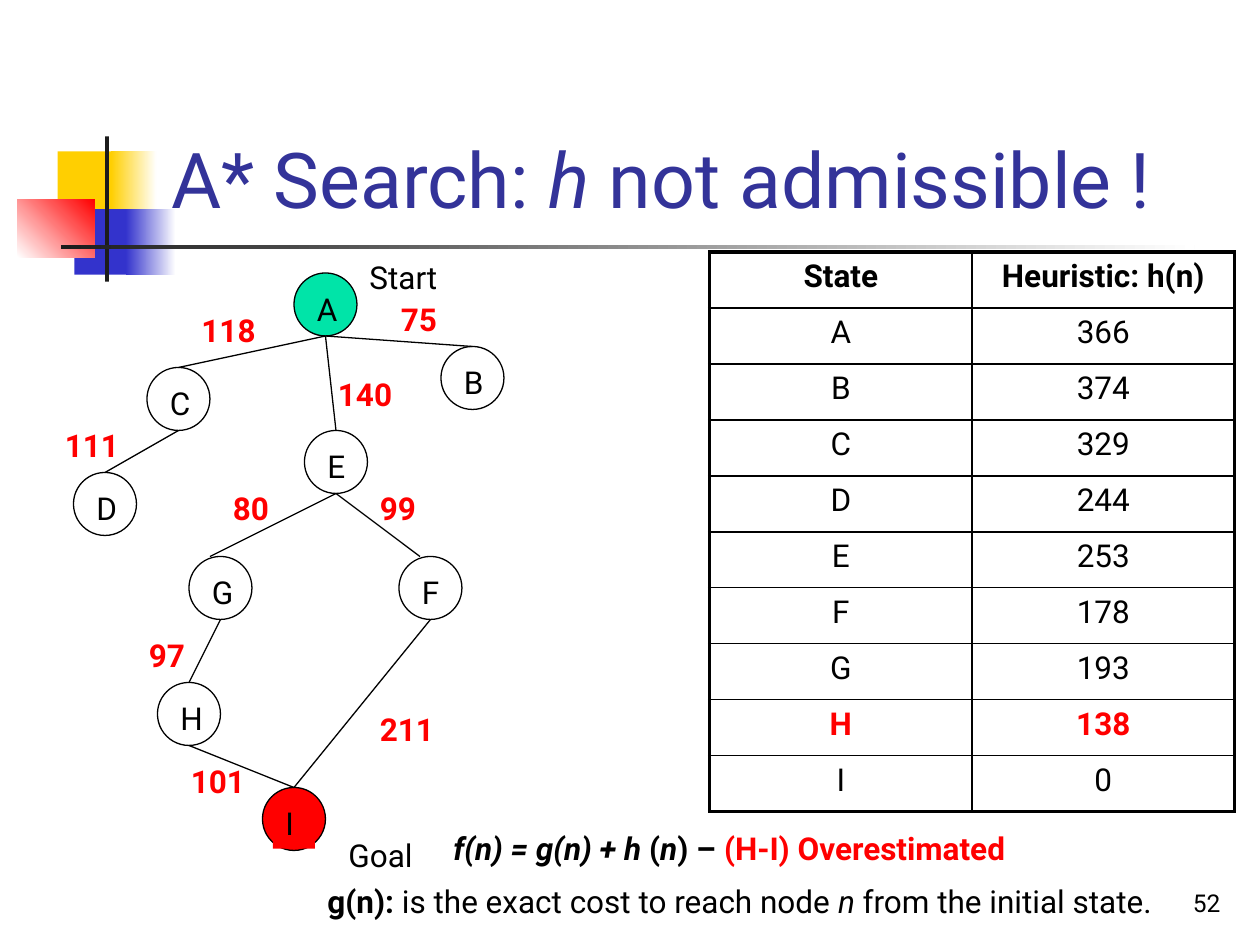
from lxml.etree import SubElement
from pptx import Presentation
from pptx.dml.color import RGBColor
from pptx.enum.shapes import MSO_CONNECTOR, MSO_SHAPE
from pptx.enum.text import MSO_ANCHOR, MSO_AUTO_SIZE, PP_ALIGN
from pptx.oxml.ns import qn
from pptx.util import Pt

FONT = "Roboto"
HUES = {
    "black": "000000", "white": "FFFFFF", "red": "FF0000", "green": "00E4A8",
    "gold": "FFCF01", "blue": "3333CC", "ink": "1C1C1C", "title": "333399",
}
SIZE = 36  # node diameter
NODES = {
    "A": (168, 156, "green"), "B": (252, 198, None), "C": (84, 210, None),
    "D": (42, 270, None), "E": (174, 246, None), "F": (228, 318, None),
    "G": (108, 318, None), "H": (90, 390, None), "I": (150, 450, "red"),
}
# parent, child, shift of the end from the child's top, cost, cost left, cost top
EDGES = [
    ("A", "C", 0, "118", 108, 174), ("A", "E", 0, "140", 186, 211),
    ("A", "B", 0, "75", 222, 168), ("C", "D", 0, "111", 30, 240),
    ("E", "G", -6, "80", 126, 276), ("E", "F", -6, "99", 210, 276),
    ("G", "H", 0, "97", 78, 360), ("F", "I", 0, "211", 210, 402),
    ("H", "I", 0, "101", 102, 432),
]
# left, top, width, height, colours, angle
DECOR = [
    (33, 86.5, 34.5, 37.5, ["gold"], 0),
    (63.5, 86.5, 26, 37.5, ["gold", "white"], 0),
    (42.5, 119.5, 33, 37.5, ["blue"], 0),
    (72, 119.5, 28.5, 37.5, ["blue", "white"], 0),
    (10, 113.75, 44, 33.25, ["white", "red"], 45),
    (60, 78, 2.25, 83, ["ink"], 0),
    (34.75, 140.25, 648, 2.25, ["ink", "white"], 0),
]
ROWS = [
    ("State", "Heuristic: h(n)"), ("A", "366"), ("B", "374"), ("C", "329"),
    ("D", "244"), ("E", "253"), ("F", "178"), ("G", "193"), ("H", "138"),
    ("I", "0"),
]


def color(name):
    return RGBColor.from_string(HUES[name])


def style(run, size=18, hue="black", bold=False, slant=False):
    font = run.font
    font.name, font.size = FONT, Pt(size)
    font.bold, font.italic = bold, slant
    font.color.rgb = color(hue)


def write(para, parts):
    """Add runs from (text, style options) pairs."""
    for text, opts in parts:
        run = para.add_run()
        run.text = text
        style(run, **opts)


def add_text(shapes, box, text="", **opts):
    label = shapes.add_textbox(*map(Pt, box))
    label.text_frame.word_wrap = True
    if text:
        label.text_frame.text = text
        style(label.text_frame.paragraphs[0].runs[0], **opts)
    return label


def add_shape(shapes, kind, box, hues, angle=0):
    """Add a shape without outline: no colour, one colour or a gradient."""
    shape = shapes.add_shape(kind, *map(Pt, box))
    shape.shadow.inherit = False
    shape.line.fill.background()
    fill = shape.fill
    if not hues:
        fill.background()
    elif len(hues) == 1:
        fill.solid()
        fill.fore_color.rgb = color(hues[0])
    else:
        fill.gradient()
        fill.gradient_angle = angle
        for stop, hue in zip(fill.gradient_stops, hues):
            stop.color.rgb = color(hue)
    return shape


def add_node(slide, name, left, top, hue):
    shapes = slide.shapes.add_group_shape().shapes
    disc = add_shape(shapes, MSO_SHAPE.OVAL, (left, top, SIZE, SIZE),
                     [hue] if hue else [])
    disc.line.color.rgb = color("black")
    disc.line.width = Pt(0.75)
    label = add_text(shapes, (left + 6, top + 6, 24, 29), name)
    if hue == "red":
        label.fill.solid()
        label.fill.fore_color.rgb = color(hue)


def add_edge(slide, start, end, shift):
    x1, y1, _ = NODES[start]
    x2, y2, _ = NODES[end]
    ends = (x1 + SIZE / 2, y1 + SIZE, x2 + SIZE / 2 + shift, y2)
    line = slide.shapes.add_connector(MSO_CONNECTOR.STRAIGHT, *map(Pt, ends))
    line.line.color.rgb = color("black")
    line.line.width = Pt(0.75)
    SubElement(line._element.spPr, qn("a:effectLst"))


def add_border(cell, side, width):
    props = cell._tc.get_or_add_tcPr()
    line = SubElement(props, qn("a:ln" + side), w=str(Pt(width)))
    fill = SubElement(line, qn("a:solidFill"))
    SubElement(fill, qn("a:srgbClr"), val=HUES["black"])


def add_grid(slide):
    count = len(ROWS)
    box = map(Pt, (405.5, 144, 300, 32 * count))
    table = slide.shapes.add_table(count, 2, *box).table
    table.first_row = table.horz_banding = False
    for row, texts in enumerate(ROWS):
        hot = texts[0] == "H"
        for col, text in enumerate(texts):
            cell = table.cell(row, col)
            cell.text = text
            para = cell.text_frame.paragraphs[0]
            para.alignment = PP_ALIGN.CENTER
            style(para.runs[0], hue="red" if hot else "black",
                  bold=hot or row == 0)
            outer = {"L": col == 0, "R": col == 1,
                     "T": row == 0, "B": row == count - 1}
            for side, edge in outer.items():
                add_border(cell, side, 2.25 if edge else 1)
            cell.fill.background()


def add_title(slide):
    title = slide.shapes.title
    title.left, title.top, title.width, title.height = map(
        Pt, (90.75, 16.5, 613.5, 115))
    frame = title.text_frame
    frame.vertical_anchor = MSO_ANCHOR.BOTTOM
    frame.auto_size = MSO_AUTO_SIZE.NONE
    para = frame.paragraphs[0]
    para.alignment = PP_ALIGN.LEFT
    look = {"size": 44, "hue": "title"}
    write(para, [("A* Search: ", look), ("h", {**look, "slant": True}),
                 (" not admissible !", look)])


def add_notes(slide):
    """Add the formula and the meaning of g(n)."""
    frame = add_text(slide.shapes, (180, 470, 522, 93.5)).text_frame
    bold, slant = {"bold": True}, {"slant": True}
    para = frame.paragraphs[0]
    para._p.get_or_add_pPr().set("indent", str(Pt(72)))
    write(para, [
        ("f(n) = g(n) + h ", {**bold, **slant}), ("(", bold),
        ("n", {**bold, **slant}), (") – ", bold),
        ("(H-I) Overestimated", {**bold, "hue": "red"})])
    para = frame.add_paragraph()
    para.space_before = Pt(9)
    write(para, [
        ("g(n): ", bold), ("is the exact cost to reach node ", {}),
        ("n", slant), (" from the initial state.", {})])


def main():
    deck = Presentation()
    deck.slide_width, deck.slide_height = Pt(720), Pt(540)
    slide = deck.slides.add_slide(deck.slide_layouts[5])
    shapes = slide.shapes
    for *box, hues, angle in DECOR:
        add_shape(shapes, MSO_SHAPE.RECTANGLE, box, hues, angle)
    add_title(slide)
    for name, spot in NODES.items():
        add_node(slide, name, *spot)
    for start, end, shift, cost, left, top in EDGES:
        add_edge(slide, start, end, shift)
        add_text(shapes, (left, top, 60, 29), cost, hue="red", bold=True)
    add_text(shapes, (204, 144, 96, 29), "Start")
    add_text(shapes, (192, 474, 96, 29), "Goal")
    add_notes(slide)
    add_grid(slide)
    page = add_text(shapes, (554.5, 492, 150, 36), "52", size=14).text_frame
    page.vertical_anchor = MSO_ANCHOR.BOTTOM
    page.paragraphs[0].alignment = PP_ALIGN.RIGHT
    deck.save("out.pptx")


if __name__ == "__main__":
    main()
